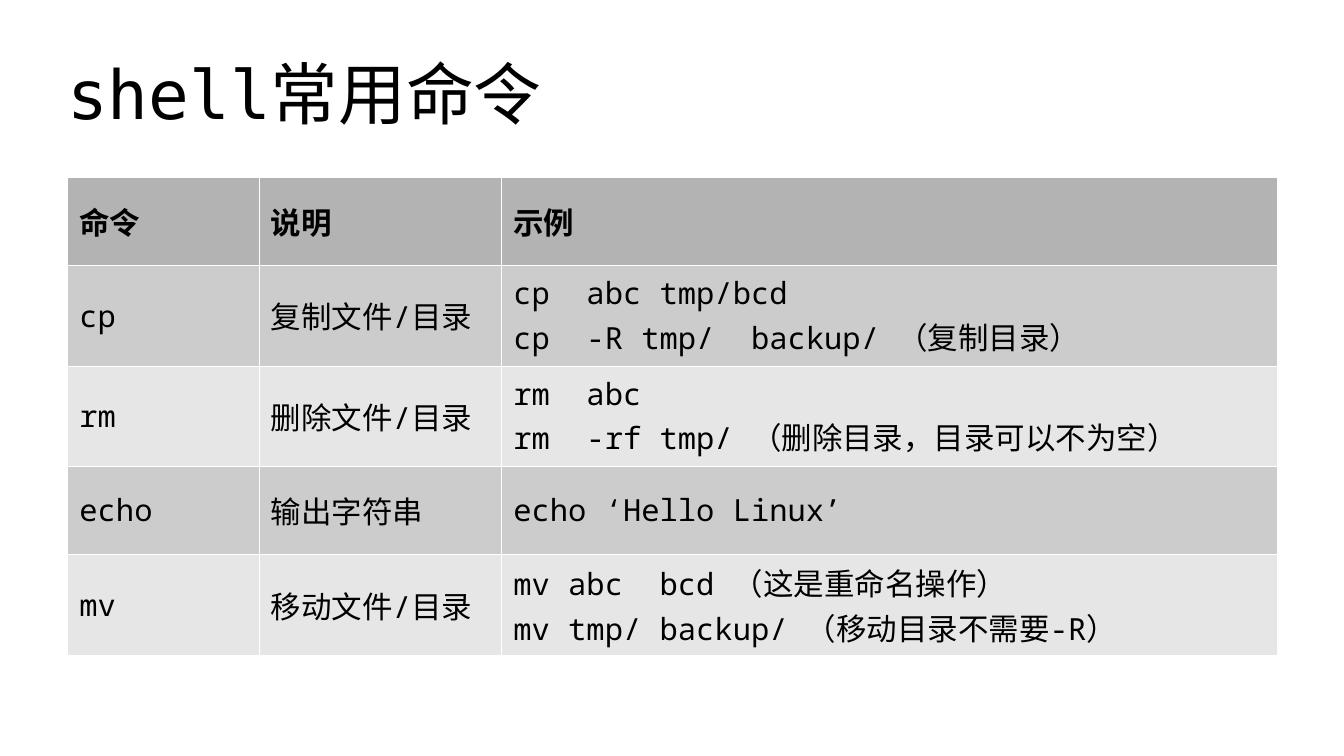
import pptx
import pptx.dml.color
import pptx.enum.text
import pptx.oxml
import pptx.oxml.ns
import pptx.util

Cm, Pt = pptx.util.Cm, pptx.util.Pt
RGBColor = pptx.dml.color.RGBColor
MIDDLE = pptx.enum.text.MSO_ANCHOR.MIDDLE

TITLE = "shell常用命令"
COMMANDS = [
    ("命令", "说明", "示例"),
    ("cp", "复制文件/目录", "cp  abc tmp/bcd\ncp  -R tmp/  backup/ （复制目录）"),
    ("rm", "删除文件/目录", "rm  abc\nrm  -rf tmp/ （删除目录，目录可以不为空）"),
    ("echo", "输出字符串", "echo ‘Hello Linux’"),
    ("mv", "移动文件/目录", "mv abc  bcd （这是重命名操作）\nmv tmp/ backup/ （移动目录不需要-R）"),
]
COLUMN_WIDTHS = [Cm(3.99), Cm(5.05), Cm(16.16)]
ROW_HEIGHTS = [Cm(1.83), Cm(2.04), Cm(1.93), Cm(1.83), Cm(2.11)]

BLACK = RGBColor(0x00, 0x00, 0x00)
WHITE = RGBColor(0xFF, 0xFF, 0xFF)
HEADER_GRAY = RGBColor(0xB3, 0xB3, 0xB3)
BAND_GRAYS = [RGBColor(0xE6, 0xE6, 0xE6), RGBColor(0xCC, 0xCC, 0xCC)]

LEFT, WIDTH = Cm(1.4), sum(COLUMN_WIDTHS)
TITLE_FONT = {"name": "DejaVu Sans Mono", "size": Pt(40), "bold": False}
CELL_FONT = {"name": "Noto Sans Mono", "size": Pt(18)}


def apply(target, values):
    for key, value in values.items():
        setattr(target, key, value)


def set_font(paragraph, values):
    apply(paragraph.font, values)
    paragraph.font.color.rgb = BLACK


def add_borders(cell):
    properties = cell._tc.get_or_add_tcPr()
    for side in ("lnL", "lnR", "lnT", "lnB"):
        properties.append(pptx.oxml.parse_xml(
            f'<a:{side} {pptx.oxml.ns.nsdecls("a")} w="{Pt(0.06)}"><a:solidFill>'
            f'<a:srgbClr val="{WHITE}"/></a:solidFill></a:{side}>'))


def add_title(slide):
    title = slide.shapes.title
    apply(title, {"left": LEFT, "top": Cm(0.64), "width": WIDTH, "height": Cm(2.57)})
    frame = title.text_frame
    frame.text = TITLE
    apply(frame, {"margin_left": 0, "margin_right": 0, "margin_top": 0,
                  "margin_bottom": 0, "vertical_anchor": MIDDLE, "word_wrap": True})
    heading = frame.paragraphs[0]
    heading.alignment = pptx.enum.text.PP_ALIGN.LEFT
    set_font(heading, TITLE_FONT)


def add_command_table(slide):
    table = slide.shapes.add_table(
        len(COMMANDS), len(COLUMN_WIDTHS), LEFT, Cm(3.69), WIDTH, sum(ROW_HEIGHTS)).table
    for column, width in zip(table.columns, COLUMN_WIDTHS):
        column.width = width
    for index, (row, height, texts) in enumerate(zip(table.rows, ROW_HEIGHTS, COMMANDS)):
        row.height = height
        is_header = index == 0
        for cell, text in zip(row.cells, texts):
            cell.text = text
            cell.vertical_anchor = MIDDLE
            add_borders(cell)
            cell.fill.solid()
            cell.fill.fore_color.rgb = HEADER_GRAY if is_header else BAND_GRAYS[index % 2]
            for line in cell.text_frame.paragraphs:
                set_font(line, {**CELL_FONT, "bold": is_header})


def main():
    deck = pptx.Presentation()
    apply(deck, {"slide_width": Cm(28), "slide_height": Cm(15.75)})
    slide = deck.slides.add_slide(deck.slide_layouts[5])
    add_title(slide)
    add_command_table(slide)
    deck.save("out.pptx")


if __name__ == "__main__":
    main()
